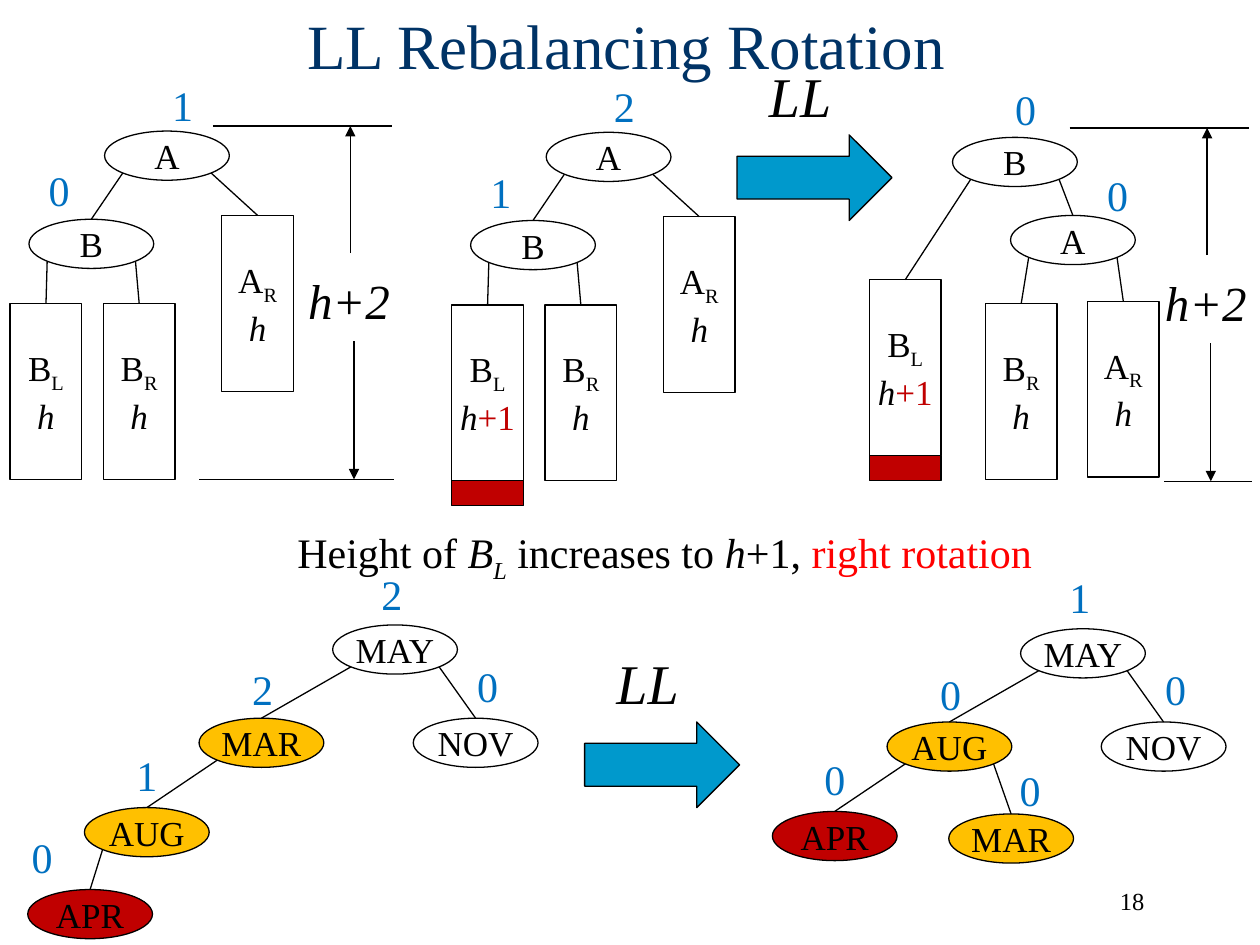
from dataclasses import dataclass

from lxml.etree import SubElement
from pptx import Presentation
from pptx.dml.color import RGBColor
from pptx.enum.shapes import MSO_CONNECTOR as Connector, MSO_SHAPE as Shape
from pptx.enum.text import MSO_ANCHOR as Anchor, PP_ALIGN as Align
from pptx.oxml.ns import qn
from pptx.util import Inches, Pt

COLORS = {
    "black": "000000", "title": "003366", "balance": "0070C0", "arrow": "0099CC",
    "amber": "FFC000", "crimson": "C00000", "red": "FF0000",
}
FONT = "Times New Roman"
COLUMNS, ROWS = 100, 75
CELL = Inches(10) / COLUMNS
NODE_SIZE = (9.9, 3.9)
SUBTREE_SIZE = (5.7, 13.95)
CAP_HEIGHT = 2
EDGE_INSET = 0.146


@dataclass
class Node:
    """A tree node, or a subtree block when it has no balance factor."""
    name: str
    left: float
    top: float
    parent: str = ""
    balance: str = ""
    tag: tuple = (0, 0)
    fill: str = ""
    growth: str = ""
    cap: bool = False

    @property
    def size(self):
        """Width and height in grid cells."""
        return NODE_SIZE if self.balance else SUBTREE_SIZE


def cells(*values):
    """Turn grid cells into slide lengths."""
    return [round(value * CELL) for value in values]


def color(name):
    """Look up a palette colour."""
    return RGBColor.from_string(COLORS[name])


def write(shape, lines, size, tint="black", align=Align.CENTER, anchor=Anchor.TOP, wrap=False):
    """Fill a shape with lines of (text, style, colour) runs; style i is italic, s subscript."""
    frame = shape.text_frame
    frame.word_wrap = wrap
    frame.vertical_anchor = anchor
    for index, line in enumerate(lines):
        paragraph = frame.add_paragraph() if index else frame.paragraphs[0]
        paragraph.alignment = align
        paragraph.font.name = FONT
        paragraph.font.size = Pt(size)
        paragraph.font.color.rgb = color(tint)
        for text, style, run_tint in line:
            run = paragraph.add_run()
            run.text = text
            run.font.name = FONT
            run.font.size = Pt(size)
            run.font.italic = "i" in style
            run.font.color.rgb = color(run_tint or tint)
            if "s" in style:
                run._r.get_or_add_rPr().set("baseline", "-25000")


def add_text(slide, box, runs, size, **options):
    """Place one line of text in a box."""
    write(slide.shapes.add_textbox(*cells(*box)), [runs], size, **options)


def add_outline(slide, kind, box, fill=""):
    """Place a thin black outlined shape, filled when a colour is named."""
    shape = slide.shapes.add_shape(kind, *cells(*box))
    shape.shadow.inherit = False
    shape.line.color.rgb = color("black")
    shape.line.width = Pt(0.75)
    if fill:
        shape.fill.solid()
        shape.fill.fore_color.rgb = color(fill)
    else:
        shape.fill.background()
    return shape


def add_line(slide, start, end, arrow=False):
    """Draw a thin black line, with an arrowhead at its end on request."""
    line = slide.shapes.add_connector(Connector.STRAIGHT, *cells(*start, *end))
    line.line.color.rgb = color("black")
    line.line.width = Pt(0.75)
    if arrow:
        SubElement(line.line._get_or_add_ln(), qn("a:tailEnd"), type="triangle")
    SubElement(line._element.spPr, qn("a:effectLst"))


def draw_edge(slide, left, top, child, parent):
    """Join the top of a child to the lower side of its parent."""
    child_width, _ = child.size
    width, height = parent.size
    middle = child.left + child_width / 2
    on_left = middle < parent.left + width / 2
    share = EDGE_INSET if on_left else 1 - EDGE_INSET
    end = (left + parent.left + share * width, top + parent.top + (1 - EDGE_INSET) * height)
    add_line(slide, (left + middle, top + child.top), end)


def draw_tree(slide, box, nodes):
    """Draw a tree with its balance factors from the top left corner of its box."""
    left, top = box
    by_name = {node.name: node for node in nodes}
    for node in nodes:
        x, y = left + node.left, top + node.top
        width, height = node.size
        kind = Shape.OVAL if node.balance else Shape.RECTANGLE
        shape = add_outline(slide, kind, (x, y, width, height), node.fill)
        if node.balance:
            lines = [[(node.name, "", "")]]
            tag_x, tag_y = node.tag
            add_text(slide, (left + tag_x, top + tag_y, 4.8, 5),
                     [(node.balance, "", "")], 24, tint="balance")
        else:
            root, side = node.name
            lines = [[(root, "", ""), (side, "s", "")], [("h", "i", "")]]
            if node.growth:
                lines[1].append((node.growth, "", "crimson"))
        write(shape, lines, 20, anchor=Anchor.MIDDLE)
        if node.cap:
            add_outline(slide, Shape.RECTANGLE, (x, y + height, width, CAP_HEIGHT), "crimson")
        if node.parent:
            draw_edge(slide, left, top, node, by_name[node.parent])


def draw_height(slide, box, foot):
    """Mark the total height h+2; foot holds the ends of the bottom rule."""
    left, top = box
    bottom = top + 28.05
    add_line(slide, (left, top), (left + 14.2, top))
    add_line(slide, (left + foot[0], bottom), (left + foot[1], bottom))
    add_line(slide, (left + 11.2, top + 17.1), (left + 11.2, bottom), arrow=True)
    add_line(slide, (left + 10.9, top + 10.1), (left + 10.9, top), arrow=True)
    add_text(slide, (left + 6.5, top + 11, 8.6, 5.7), [("h+2", "i", "")], 28)


def draw_rotation(slide, box):
    """Draw the LL caption above a block arrow."""
    left, top = box
    add_text(slide, (left + 1.5, top, 7, 6.4), [("LL", "i", "")], 32)
    add_outline(slide, Shape.RIGHT_ARROW, (left, top + 6.3, 12.3, 6.8), "arrow")


def left_heavy(root_balance, child_balance, growth=""):
    """List the nodes of the tree before rotation."""
    return [
        Node("A", 7.5, 4.6, balance=root_balance, tag=(11.3, 0)),
        Node("B", 1.5, 11.6, "A", child_balance, (1.5, 6.8)),
        Node("AR", 16.8, 11.3, "A"),
        Node("BR", 7.4, 18.3, "B"),
        Node("BL", 0, 18.3, "B", growth=growth, cap=bool(growth)),
    ]


def draw_general_case(slide, box):
    """Draw the row of schematic trees with heights."""
    left, top = box
    rotated = [
        Node("B", 6.6, 4.8, balance="0", tag=(10, 0)),
        Node("A", 11.2, 11, "B", "0", (17.3, 6.9)),
        Node("BL", 0, 16.1, "B", growth="+1", cap=True),
        Node("BR", 9.2, 18, "A"),
        Node("AR", 17.3, 17.8, "A"),
    ]
    draw_tree(slide, (left, top), left_heavy("1", "0"))
    draw_height(slide, (left + 16.1, top + 4.2), (-1.1, 14.4))
    draw_tree(slide, (left + 35.05, top + 0.1), left_heavy("2", "1", "+1"))
    draw_rotation(slide, (left + 57.7, top - 1.4))
    draw_tree(slide, (left + 68.2, top + 0.3), rotated)
    draw_height(slide, (left + 84.1, top + 4.35), (7.5, 14.5))


def draw_month_case(slide, box):
    """Draw the month example before and after rotation."""
    left, top = box
    before = [
        Node("MAY", 24.9, 5, balance="2", tag=(27.2, 0)),
        Node("MAR", 14.3, 12.4, "MAY", "2", (16.95, 7.6), "amber"),
        Node("AUG", 5.2, 19.5, "MAR", "1", (7.75, 14.4), "amber"),
        Node("APR", 0.7, 26, "AUG", "0", (-0.55, 20.9), "crimson"),
        Node("NOV", 31.3, 12.4, "MAY", "0", (34.8, 7.3)),
    ]
    after = [
        Node("MAY", 19.7, 5, balance="1", tag=(22, 0)),
        Node("AUG", 9.1, 12.4, "MAY", "0", (11.75, 7.7), "amber"),
        Node("APR", 0, 19.5, "AUG", "0", (2.55, 14.4), "crimson"),
        Node("MAR", 14, 19.7, "AUG", "0", (18.05, 15.3), "amber"),
        Node("NOV", 26.1, 12.4, "MAY", "0", (29.6, 7.3)),
    ]
    draw_tree(slide, (left, top), before)
    draw_rotation(slide, (left + 44.9, top + 6.4))
    draw_tree(slide, (left + 59.8, top + 0.3), after)


def main():
    """Build the rotation slide."""
    presentation = Presentation()
    presentation.slide_width, presentation.slide_height = cells(COLUMNS, ROWS)
    slide = presentation.slides.add_slide(presentation.slide_layouts[6])
    add_text(slide, (7.2, -2.7, 85, 12.5), [("LL Rebalancing Rotation", "", "")], 36,
             tint="title", anchor=Anchor.MIDDLE, wrap=True)
    draw_general_case(slide, (0.8, 5.8))
    add_text(slide, (21.8, 41.3, 61.9, 5), [
        ("Height of ", "", ""), ("B", "i", ""), ("L", "is", ""), (" increases to ", "", ""),
        ("h", "i", ""), ("+1, ", "", ""), ("right rotation", "", "red")], 24)
    draw_month_case(slide, (1.5, 44.6))
    add_text(slide, (71, 69.8, 20.8, 5), [("18", "", "")], 14, align=Align.RIGHT, wrap=True)
    presentation.save("out.pptx")


if __name__ == "__main__":
    main()
